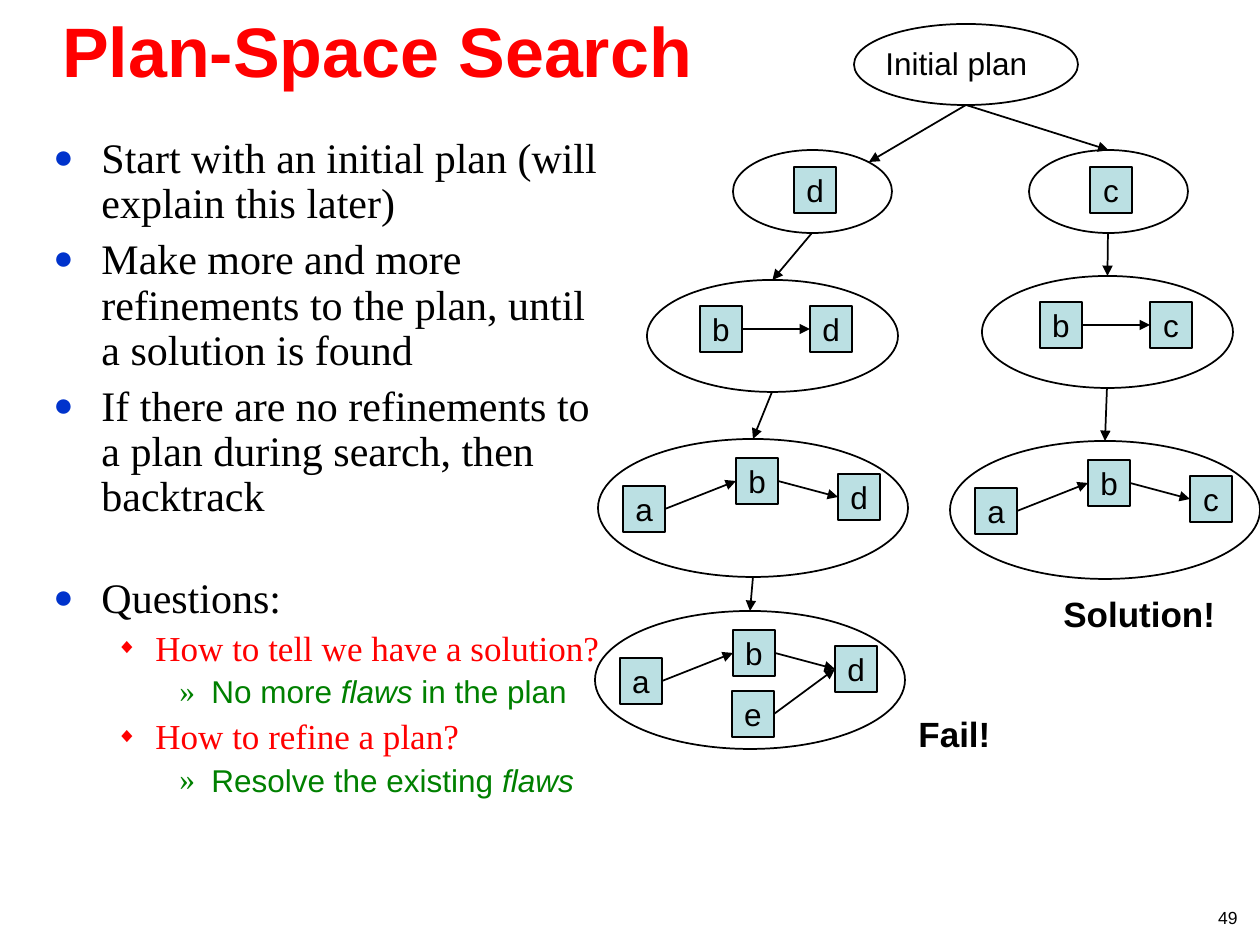
"""Build the Plan-Space Search slide: bullets on the left, a search tree on the right."""
from dataclasses import dataclass

from lxml.etree import SubElement
from pptx import Presentation
from pptx.dml.color import RGBColor
from pptx.enum.shapes import MSO_CONNECTOR as Connector, MSO_SHAPE as Shape
from pptx.enum.text import MSO_ANCHOR as Anchor, PP_ALIGN as Align
from pptx.oxml.ns import qn
from pptx.util import Pt

PX = 914400 / 126
STEP_W, STEP_H = 42, 46
BLACK, RED, GREEN, BLUE, PALE = "000000", "FF0000", "008000", "0033CC", "BBE0E3"
SANS, SERIF = "Arial", "Times New Roman"
TOP, LEFT, RIGHT = 0, 1, 3


@dataclass(frozen=True)
class Step:
    """An action box, placed relative to its plan."""
    name: str
    dx: int
    dy: int


@dataclass(frozen=True)
class Plan:
    """A partial plan: an ellipse with steps and the orderings between them."""
    x: int
    y: int
    w: int
    h: int
    steps: tuple[Step, ...] = ()
    orderings: tuple[tuple[int, int], ...] = ()

    @property
    def bottom(self) -> tuple[int, int]:
        """Return the lowest point of the ellipse."""
        return self.x + self.w // 2, self.y + self.h


@dataclass(frozen=True)
class Level:
    """The look of one outline level; indents are in px."""
    bullet: str
    bullet_color: str
    bullet_pct: int
    indent: int
    hang: int
    size: int
    font: str
    color: str
    before: float


@dataclass(frozen=True)
class Label:
    """A single line of text in a box."""
    text: str
    x: int
    y: int
    w: int
    h: int
    size: int
    color: str = BLACK
    bold: bool = False
    align: Align = Align.LEFT
    anchor: Anchor = Anchor.TOP


def px(length: int) -> int:
    """Turn px into EMU."""
    return round(length * PX)


def rgb(color: str) -> RGBColor:
    """Turn a hex string into a colour."""
    return RGBColor.from_string(color)


def style(paragraph, size: int, color: str, font: str = SANS, bold: bool = False) -> None:
    """Set the font of a whole paragraph."""
    paragraph.font.size, paragraph.font.name = Pt(size), font
    paragraph.font.bold, paragraph.font.color.rgb = bold, rgb(color)


def add_label(shapes, label: Label) -> None:
    """Draw a line of text in a box wide enough for it."""
    frame = shapes.add_textbox(*map(px, (label.x, label.y, label.w, label.h))).text_frame
    frame.word_wrap, frame.vertical_anchor = True, label.anchor
    line = frame.paragraphs[0]
    line.text, line.alignment = label.text, label.align
    style(line, label.size, label.color, bold=label.bold)


def add_bullet(paragraph, level: Level) -> None:
    """Give a paragraph a hanging bullet."""
    props = paragraph._p.get_or_add_pPr()
    props.set("marL", str(px(level.indent)))
    props.set("indent", str(-px(level.hang)))
    SubElement(SubElement(props, qn("a:buClr")), qn("a:srgbClr"), val=level.bullet_color)
    SubElement(props, qn("a:buSzPct"), val=str(level.bullet_pct * 1000))
    SubElement(props, qn("a:buFont"), typeface=SERIF)
    SubElement(props, qn("a:buChar"), char=level.bullet)


def add_outline(shapes, items: tuple) -> None:
    """Draw the outline; asterisks set off italic words."""
    frame = shapes.add_textbox(*map(px, (41, 131, 575, 735))).text_frame
    frame.word_wrap = True
    for number, (depth, text, gap) in enumerate(items):
        level = LEVELS[depth]
        paragraph = frame.add_paragraph() if number else frame.paragraphs[0]
        paragraph.level, paragraph.line_spacing = depth, 0.9
        paragraph.space_before = Pt(level.before + gap)
        add_bullet(paragraph, level)
        style(paragraph, level.size, level.color, level.font)
        for part, words in enumerate(text.split("*")):
            if words:
                run = paragraph.add_run()
                run.text = words
                if part % 2:
                    run.font.italic = True


def add_outlined(shapes, kind: Shape, x: int, y: int, w: int, h: int):
    """Draw an unfilled shape with a thin black line."""
    shape = shapes.add_shape(kind, *map(px, (x, y, w, h)))
    shape.shadow.inherit = False
    shape.fill.background()
    shape.line.color.rgb, shape.line.width = rgb(BLACK), Pt(1)
    return shape


def add_arrow(shapes, start: tuple[int, int], end: tuple[int, int]):
    """Draw a straight arrow."""
    arrow = shapes.add_connector(Connector.STRAIGHT, *map(px, start + end))
    arrow.line.color.rgb, arrow.line.width = rgb(BLACK), Pt(1)
    SubElement(arrow.line._get_or_add_ln(), qn("a:tailEnd"), type="triangle")
    SubElement(arrow._element.spPr, qn("a:effectLst"))
    return arrow


def add_step(shapes, plan: Plan, step: Step):
    """Draw one action box of a plan."""
    box = add_outlined(shapes, Shape.RECTANGLE, plan.x + step.dx, plan.y + step.dy, STEP_W, STEP_H)
    box.fill.solid()
    box.fill.fore_color.rgb = rgb(PALE)
    frame = box.text_frame
    frame.word_wrap, frame.vertical_anchor = False, Anchor.MIDDLE
    name = frame.paragraphs[0]
    name.text, name.alignment = step.name, Align.CENTER
    style(name, 18, BLACK)
    return box


def add_plan(shapes, plan: Plan):
    """Draw a plan with its steps and orderings and return its ellipse."""
    ellipse = add_outlined(shapes, Shape.OVAL, plan.x, plan.y, plan.w, plan.h)
    boxes = [add_step(shapes, plan, step) for step in plan.steps]
    for before, after in plan.orderings:
        arrow = add_arrow(shapes, (0, 0), (0, 0))
        arrow.begin_connect(boxes[before], RIGHT)
        arrow.end_connect(boxes[after], LEFT)
    return ellipse


def one_step(x: int, y: int, goal: str) -> Plan:
    """Return a plan with one step."""
    return Plan(x, y, 159, 83, (Step(goal, 61, 17),))


def two_steps(x: int, y: int, goal: str, inset: int) -> Plan:
    """Return a plan that puts b before the goal step."""
    return Plan(x, y, 251, 112, (Step("b", inset, 26), Step(goal, inset + 110, 26)), ((0, 1),))


def three_steps(x: int, y: int, goal: str, extra: tuple = ()) -> Plan:
    """Return a plan a, b, goal, with any extra steps also before the goal."""
    steps = (Step("a", 25, 47), Step("b", 138, 19), Step(goal, 240, 35)) + extra
    return Plan(x, y, 310, 138, steps, ((0, 1), (1, 2)) + ((3, 2),) * len(extra))


LEVELS = (
    Level("●", BLUE, 80, 48, 48, 24, SERIF, BLACK, 6),
    Level("◆", RED, 60, 102, 39, 20, SERIF, RED, 5),
    Level("»", GREEN, 100, 158, 32, 18, SANS, GREEN, 4.5),
)
OUTLINE = (
    (0, "Start with an initial plan (will explain this later)", 0),
    (0, "Make more and more refinements to the plan, until a solution is found", 0),
    (0, "If there are no refinements to a plan during search, then backtrack", 0),
    (0, "Questions:", 26),
    (1, "How to tell we have a solution?", 0),
    (2, "No more *flaws* in the plan", 0),
    (1, "How to refine a plan?", 0),
    (2, "Resolve the existing *flaws*", 0),
)
LABELS = (
    Label("Plan-Space Search", 21, 14, 712, 84, 40, RED, True, Align.CENTER, Anchor.BOTTOM),
    Label("Initial plan", 873, 38, 180, 50, 18),
    Label("Fail!", 906, 706, 110, 55, 20, bold=True),
    Label("Solution!", 1051, 586, 190, 55, 20, bold=True),
    Label("49", 1184, 901, 66, 33, 10, align=Align.RIGHT),
)
INITIAL = Plan(854, 24, 224, 81)
FAILING = (one_step(733, 150, "d"), two_steps(647, 280, "d", 53), three_steps(598, 439, "d"),
           three_steps(595, 611, "d", (Step("e", 137, 80),)))
SOLVING = (one_step(1029, 150, "c"), two_steps(982, 276, "c", 58), three_steps(950, 441, "c"))


def main() -> None:
    """Build and save the slide."""
    deck = Presentation()
    deck.slide_width, deck.slide_height = px(1260), px(945)
    shapes = deck.slides.add_slide(deck.slide_layouts[6]).shapes
    add_outline(shapes, OUTLINE)
    add_plan(shapes, INITIAL)
    for branch in (FAILING, SOLVING):
        ellipses = [add_plan(shapes, plan) for plan in branch]
        for parent, child in zip(branch, ellipses[1:]):
            add_arrow(shapes, parent.bottom, parent.bottom).end_connect(child, TOP)
        if branch is SOLVING:
            add_arrow(shapes, INITIAL.bottom, INITIAL.bottom).end_connect(ellipses[0], TOP)
    add_arrow(shapes, INITIAL.bottom, (869, 162))
    for label in LABELS:
        add_label(shapes, label)
    deck.save("out.pptx")


if __name__ == "__main__":
    main()
